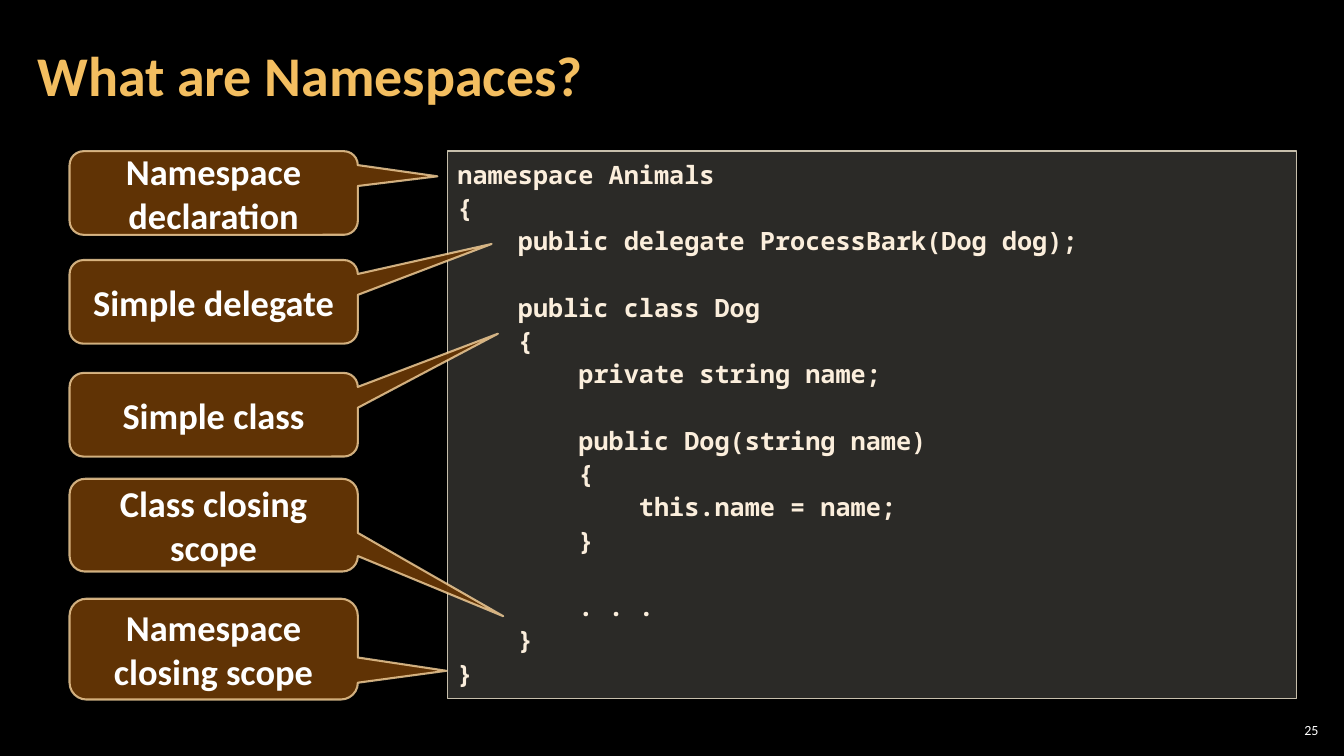
from dataclasses import dataclass
from lxml.etree import SubElement
from pptx import Presentation
from pptx.dml.color import RGBColor
from pptx.enum.shapes import MSO_SHAPE
from pptx.enum.text import MSO_ANCHOR, MSO_AUTO_SIZE, PP_ALIGN
from pptx.oxml.ns import qn
from pptx.util import Inches, Pt


@dataclass(frozen=True)
class Theme:
    back: str = "000000"
    gold: str = "F3BE60"
    white: str = "FFFFFF"
    cream: str = "FBEEDC"
    panel: str = "D9D5C7"
    edge: str = "C7BFAC"
    brown: str = "663606"
    trim: str = "F8D49E"
    sans: str = "Calibri"
    mono: str = "Noto Sans Mono"
    head: int = 40
    note: int = 26
    code: int = 18
    small: int = 10
    pitch: float = 23.76
    tab: float = 43.2


class Deck:
    cols, rows = 160, 90

    def __init__(self, theme):
        self.theme = theme
        self.file = Presentation()
        self.file.slide_width, self.file.slide_height = Inches(13.33), Inches(7.5)
        self.slide = self.file.slides.add_slide(self.file.slide_layouts[5])
        fill = self.slide.background.fill
        fill.solid()
        fill.fore_color.rgb = RGBColor.from_string(theme.back)

    def point(self, col, row):
        return (round(self.file.slide_width * col / self.cols),
                round(self.file.slide_height * row / self.rows))

    def area(self, left, top, width, height):
        return *self.point(left, top), *self.point(width, height)

    def style(self, line, face, size, color, bold=True, align=PP_ALIGN.LEFT):
        font = line.font
        font.name, font.size, font.bold = face, Pt(size), bold
        font.color.rgb = RGBColor.from_string(color)
        line.alignment = align

    def paint(self, fill, color, alpha):
        fill.solid()
        fill.fore_color.rgb = RGBColor.from_string(color)
        tint = fill._xPr.find(qn("a:solidFill"))[0]
        SubElement(tint, qn("a:alpha"), val=str(alpha * 1000))

    def shape(self, kind, box, fill, line, width):
        item = self.slide.shapes.add_shape(kind, *self.area(*box))
        item.shadow.inherit = False
        self.paint(item.fill, *fill)
        self.paint(item.line.fill, *line)
        item.line.width = Pt(width)
        item.text_frame.word_wrap = True
        return item

    def title(self, text, box):
        item = self.slide.shapes.title
        item.left, item.top, item.width, item.height = self.area(*box)
        frame = item.text_frame
        frame.text = text
        frame.auto_size = MSO_AUTO_SIZE.NONE
        frame.vertical_anchor = MSO_ANCHOR.MIDDLE
        frame.margin_left = frame.margin_right = Inches(0.12)
        frame.margin_top = frame.margin_bottom = Inches(0.04)
        line = frame.paragraphs[0]
        line.line_spacing = 0.9
        self.style(line, self.theme.sans, self.theme.head, self.theme.gold)

    def number(self, text, box):
        frame = self.slide.shapes.add_textbox(*self.area(*box)).text_frame
        frame.word_wrap = True
        frame.vertical_anchor = MSO_ANCHOR.MIDDLE
        frame.margin_left = frame.margin_right = Inches(0.04)
        frame.margin_top = frame.margin_bottom = Inches(0.04)
        frame.text = text
        self.style(frame.paragraphs[0], self.theme.sans, self.theme.small,
                   self.theme.white, False, PP_ALIGN.RIGHT)

    def code(self, lines, box):
        look = self.theme
        frame = self.shape(MSO_SHAPE.RECTANGLE, box, (look.panel, 20),
                           (look.edge, 100), 1).text_frame
        frame.vertical_anchor = MSO_ANCHOR.TOP
        frame.text = "\n".join(text for depth, gap, text in lines)
        for line, (depth, gap, text) in zip(frame.paragraphs, lines):
            self.style(line, look.mono, look.code, look.cream)
            line.line_spacing = Pt(look.pitch)
            line.space_before = Pt(look.pitch * gap)
            props = line._p.get_or_add_pPr()
            props.set("marL", str(Pt(look.tab * depth)))
            props.set("indent", "0")

    def callout(self, text, box, tip):
        look = self.theme
        item = self.shape(MSO_SHAPE.ROUNDED_RECTANGULAR_CALLOUT, box,
                          (look.brown, 95), (look.trim, 80), 1.5)
        left, top, width, height = box
        item.adjustments[0] = (tip[0] - left) / width - 0.5
        item.adjustments[1] = (tip[1] - top) / height - 0.5
        item.adjustments[2] = 0.167
        frame = item.text_frame
        frame.vertical_anchor = MSO_ANCHOR.MIDDLE
        frame.text = text
        self.style(frame.paragraphs[0], look.sans, look.note, look.white,
                   align=PP_ALIGN.CENTER)


LINES = [
    (0, 0, "namespace Animals"),
    (0, 0, "{"),
    (1, 0, "public delegate ProcessBark(Dog dog);"),
    (1, 1, "public class Dog"),
    (1, 0, "{"),
    (2, 0, "private string name;"),
    (2, 1, "public Dog(string name)"),
    (2, 0, "{"),
    (3, 0, "this.name = name;"),
    (2, 0, "}"),
    (2, 1, ". . ."),
    (1, 0, "}"),
    (0, 0, "}"),
]

NOTES = [
    ("Namespace declaration", 18, 9.96, (52.07, 21)),
    ("Simple delegate", 30.96, 9.96, (58.52, 29.05)),
    ("Simple class", 44.4, 9.96, (59.28, 39.73)),
    ("Class closing scope", 57, 11.04, (59.9, 73.35)),
    ("Namespace closing scope", 71.28, 12, (53.14, 79.86)),
]


def main():
    deck = Deck(Theme())
    deck.number("25", (151.8, 85.68, 5.64, 2.52))
    deck.title("What are Namespaces?", (3, 2.04, 125.64, 14.52))
    deck.code(LINES, (53.28, 18, 101.04, 65.16))
    for text, top, height, tip in NOTES:
        deck.callout(text, (8.28, top, 34.32, height), tip)
    deck.file.save("out.pptx")


if __name__ == "__main__":
    main()
